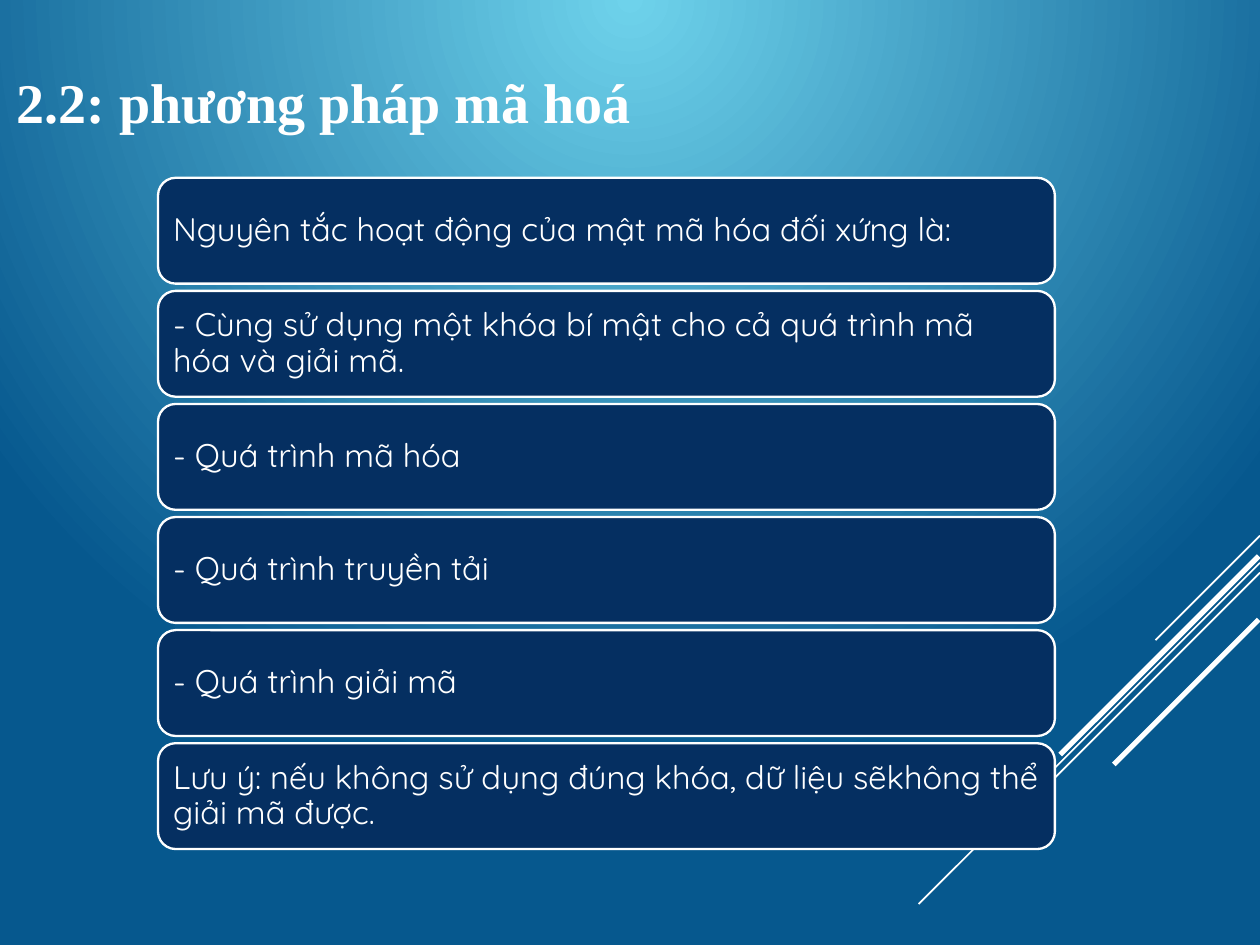
from dataclasses import dataclass

from pptx import Presentation
from pptx.dml.color import RGBColor
from pptx.enum.shapes import MSO_CONNECTOR, MSO_SHAPE
from pptx.enum.text import MSO_ANCHOR, MSO_AUTO_SIZE, PP_ALIGN
from pptx.oxml import parse_xml
from pptx.oxml.ns import nsdecls, qn
from pptx.slide import Slide
from pptx.text.text import TextFrame
from pptx.util import Cm, Pt

LINE = MSO_CONNECTOR.STRAIGHT
ROUND = MSO_SHAPE.ROUNDED_RECTANGLE
TOP = MSO_ANCHOR.TOP
MIDDLE = MSO_ANCHOR.MIDDLE
LEFT = PP_ALIGN.LEFT
GROW = MSO_AUTO_SIZE.SHAPE_TO_FIT_TEXT
FIXED = MSO_AUTO_SIZE.NONE


@dataclass(frozen=True)
class Theme:
    glow: RGBColor = RGBColor(0x6E, 0xD2, 0xEB)
    deep: RGBColor = RGBColor(0x06, 0x58, 0x8E)
    navy: RGBColor = RGBColor(0x05, 0x2F, 0x61)
    white: RGBColor = RGBColor(0xFF, 0xFF, 0xFF)
    serif: str = "Times New Roman"
    sans: str = "Quicksand"
    title: int = 24
    body: int = 14


@dataclass(frozen=True)
class Ray:
    right: float
    top: float
    left: float
    base: float
    width: float


@dataclass(frozen=True)
class Card:
    text: str
    top: float


THEME = Theme()

RAYS = [
    Ray(19.05, 8.1, 17.47, 9.68, 0.75),
    Ray(19.05, 8.51, 13.89, 13.67, 0.75),
    Ray(19.05, 8.66, 15.77, 11.94, 0.75),
    Ray(19.03, 8.41, 16.03, 11.41, 2.25),
    Ray(19.03, 9.37, 16.84, 11.56, 2.25),
]

TEXTS = [
    "Nguyên tắc hoạt động của mật mã hóa đối xứng là:",
    "- Cùng sử dụng một khóa bí mật cho cả quá trình mã hóa và giải mã.",
    "- Quá trình mã hóa",
    "- Quá trình truyền tải",
    "- Quá trình giải mã",
    "Lưu ý: nếu không sử dụng đúng khóa, dữ liệu sẽkhông thể giải mã được.",
]
CARD_LEFT, CARD_TOP, CARD_WIDTH, CARD_HEIGHT = 2.39, 2.69, 13.56, 1.6
GAP = 0.11
CARDS = [
    Card(text, CARD_TOP + row * (CARD_HEIGHT + GAP))
    for row, text in enumerate(TEXTS)
]


def write(frame: TextFrame, text: str, *, face: str, size: int,
          bold: bool = False, anchor: MSO_ANCHOR = TOP,
          fit: MSO_AUTO_SIZE = FIXED, inset: tuple[float, float] = (0.25, 0.13),
          after: float = 0, pitch: float = 1.0) -> None:
    frame.word_wrap = True
    frame.auto_size = fit
    frame.vertical_anchor = anchor
    frame.margin_left = frame.margin_right = Cm(inset[0])
    frame.margin_top = frame.margin_bottom = Cm(inset[1])
    frame.text = text
    para = frame.paragraphs[0]
    para.alignment = LEFT
    para.line_spacing = pitch
    para.space_after = Pt(after)
    font = para.runs[0].font
    font.name = face
    font.size = Pt(size)
    font.bold = bold
    font.color.rgb = THEME.white


def paint(slide: Slide) -> None:
    fill = slide.background.fill
    fill.gradient()
    for stop, color in zip(fill.gradient_stops, (THEME.glow, THEME.deep)):
        stop.color.rgb = color
    first, last = fill.gradient_stops
    first.position, last.position = 0, 1
    grad = slide.background._cSld.find(".//" + qn("a:gradFill"))
    grad.replace(grad.find(qn("a:lin")), parse_xml(
        f'<a:path {nsdecls("a")} path="circle">'
        '<a:fillToRect l="0" t="0" r="0" b="100000"/></a:path>'))


def draw_ray(slide: Slide, ray: Ray) -> None:
    line = slide.shapes.add_connector(
        LINE, Cm(ray.right), Cm(ray.top), Cm(ray.left), Cm(ray.base))
    line.line.color.rgb = THEME.white
    line.line.width = Pt(ray.width)
    line._element.spPr.append(parse_xml(f'<a:effectLst {nsdecls("a")}/>'))


def draw_card(slide: Slide, card: Card) -> None:
    box = slide.shapes.add_shape(
        ROUND, Cm(CARD_LEFT), Cm(card.top), Cm(CARD_WIDTH), Cm(CARD_HEIGHT))
    box.shadow.inherit = False
    box.fill.solid()
    box.fill.fore_color.rgb = THEME.navy
    box.line.color.rgb = THEME.white
    box.line.width = Pt(1)
    write(box.text_frame, card.text, face=THEME.sans, size=THEME.body,
          anchor=MIDDLE, inset=(0.15, 0.15), after=5, pitch=0.9)


def main() -> None:
    deck = Presentation()
    deck.slide_width, deck.slide_height = Cm(19.05), Cm(14.29)
    slide = deck.slides.add_slide(deck.slide_layouts[5])
    paint(slide)
    for ray in RAYS:
        draw_ray(slide, ray)
    head = slide.shapes.title
    head.left, head.top = Cm(0), Cm(0.89)
    head.width, head.height = Cm(16.81), Cm(1.27)
    write(head.text_frame, "2.2: phương pháp mã hoá", face=THEME.serif,
          size=THEME.title, bold=True, fit=GROW, after=6)
    for card in CARDS:
        draw_card(slide, card)
    deck.save("out.pptx")


if __name__ == "__main__":
    main()
